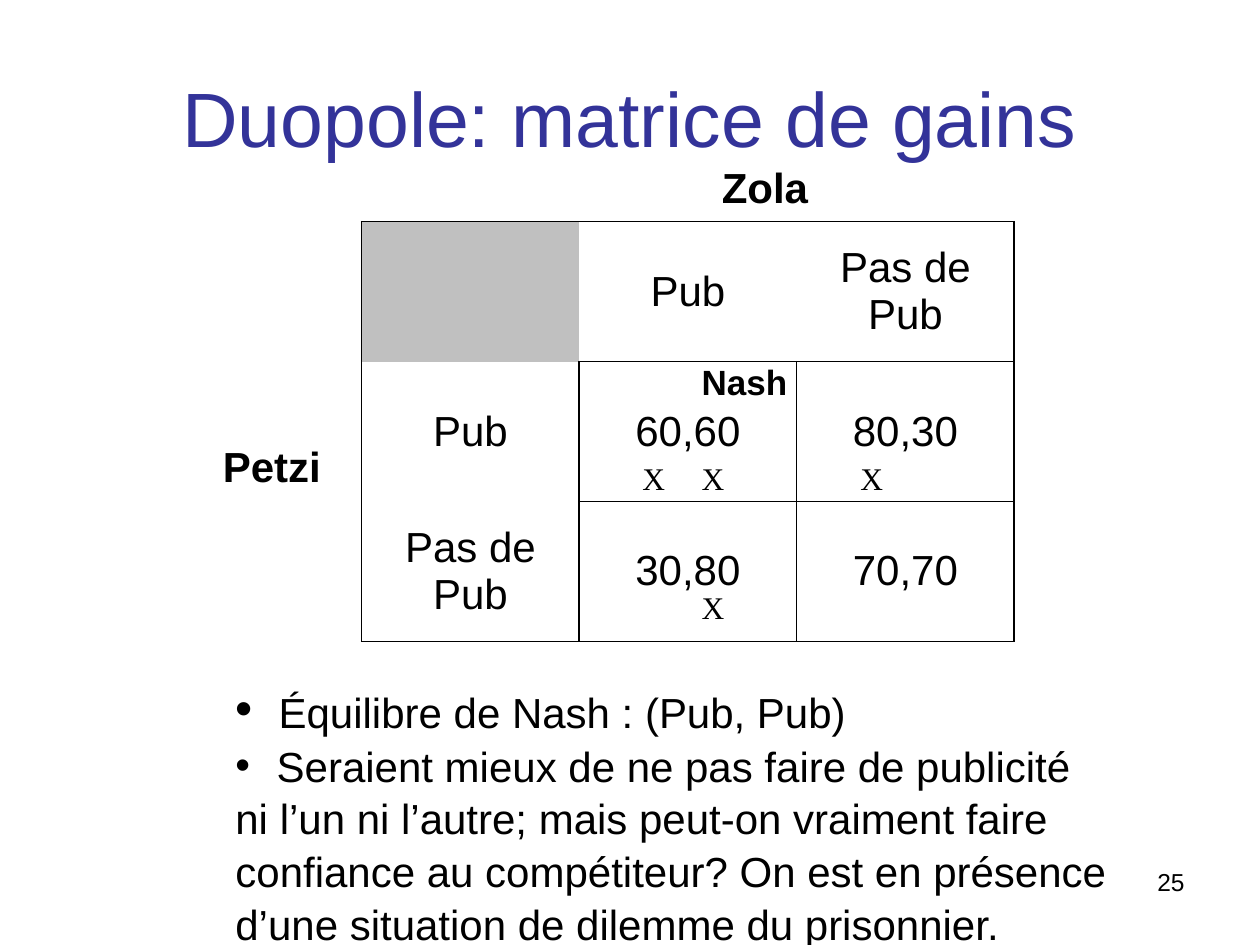
from lxml import etree
from pptx import Presentation, util as u
from pptx.dml.color import RGBColor
from pptx.enum import text
from pptx.oxml import ns

COLUMNS, ROWS = 100, 75  # slide grid
BLACK, GREY, BLUE = "000000", "C0C0C0", "333399"


def color(value):
    return RGBColor.from_string(value)


def write(para, content, size=24, font="Arial", ink=BLACK, bold=False):
    span = para.add_run()
    span.text = content
    span.font.size = u.Pt(size)
    span.font.name = font
    span.font.bold = bold
    span.font.color.rgb = color(ink)


def add_bullet(para, indent):
    properties = para._p.get_or_add_pPr()
    properties.set("marL", str(indent))
    properties.set("indent", str(-indent))
    etree.SubElement(properties, ns.qn("a:buFont")).set("typeface", "Arial")
    etree.SubElement(properties, ns.qn("a:buChar")).set("char", "•")


def set_borders(cell, sides):
    properties = cell._tc.get_or_add_tcPr()
    for index, side in enumerate("LRTB"):
        line = etree.Element(ns.qn(f"a:ln{side}"), w=str(u.Pt(1)))
        if side in sides:
            fill = etree.SubElement(line, ns.qn("a:solidFill"))
            etree.SubElement(fill, ns.qn("a:srgbClr")).set("val", BLACK)
        else:
            etree.SubElement(line, ns.qn("a:noFill"))
        properties.insert(index, line)


class SlideBuilder:
    def __init__(self, deck):
        self.cell_width = deck.slide_width / COLUMNS
        self.cell_height = deck.slide_height / ROWS
        self.slide = deck.slides.add_slide(deck.slide_layouts[6])

    def place(self, left, top, width, height):
        return (int(left * self.cell_width), int(top * self.cell_height),
                int(width * self.cell_width), int(height * self.cell_height))

    def frame(self, area, wrap=False):
        box = self.slide.shapes.add_textbox(*self.place(*area))
        box.text_frame.word_wrap = wrap
        return box.text_frame

    def label(self, area, content, align="LEFT", anchor="TOP", wrap=False, **style):
        frame = self.frame(area, wrap)
        frame.vertical_anchor = getattr(text.MSO_ANCHOR, anchor)
        para = frame.paragraphs[0]
        para.alignment = getattr(text.PP_ALIGN, align)
        write(para, content, **style)

    def notes(self, area, lines):
        """Each line is (bulleted, [(content, size), ...])."""
        frame = self.frame(area, wrap=True)
        for index, (bulleted, spans) in enumerate(lines):
            para = frame.add_paragraph() if index else frame.paragraphs[0]
            if index:
                para.space_before = u.Pt(1.3)
            if bulleted:
                add_bullet(para, int(2.35 * self.cell_width))
            for content, size in spans:
                write(para, content, size)

    def payoff_matrix(self, area, values):
        last = len(values) - 1
        shape = self.slide.shapes.add_table(last + 1, last + 1, *self.place(*area))
        table = shape.table
        table.first_row = table.horz_banding = False
        for r, row in enumerate(values):
            for c, content in enumerate(row):
                cell = table.cell(r, c)
                cell.vertical_anchor = text.MSO_ANCHOR.MIDDLE
                if content:
                    para = cell.text_frame.paragraphs[0]
                    para.alignment = text.PP_ALIGN.CENTER
                    write(para, content)
                    cell.fill.background()
                else:
                    cell.fill.solid()
                    cell.fill.fore_color.rgb = color(GREY)
                # Headers are open between each other, payoffs are boxed
                rules = {"L": c == 0 or r > 0, "R": c == last or r > 0,
                         "T": r == 0 or c > 0, "B": r == last or c > 0}
                set_borders(cell, [side for side, drawn in rules.items() if drawn])


def main():
    deck = Presentation()
    deck.slide_width, deck.slide_height = u.Inches(10), u.Inches(7.5)
    page = SlideBuilder(deck)

    # Page number and title
    page.label((71.7, 68.3, 23.3, 5.2), "25", align="RIGHT", wrap=True, size=14)
    page.label((5, 3, 90, 12.5), "Duopole: matrice de gains", align="CENTER",
               anchor="MIDDLE", wrap=True, size=44, ink=BLUE)

    # Payoff matrix
    page.payoff_matrix((28.7, 17.6, 51.8, 33.3), [
        ["", "Pub", "Pas de Pub"],
        ["Pub", "60,60", "80,30"],
        ["Pas de Pub", "30,80", "70,70"],
    ])

    # Conclusions
    page.notes((17.7, 53.4, 72.1, 21.6), [
        (True, [(" ", 28), ("Équilibre de Nash : (Pub, Pub)", 24)]),
        (True, [(" Seraient mieux de ne pas faire de publicité", 24)]),
        (False, [("ni l’un ni l’autre; mais peut-on vraiment faire", 24)]),
        (False, [("confiance au compétiteur? On est en présence", 24)]),
        (False, [("d’une situation de dilemme du prisonnier.", 24)]),
    ])

    # Players
    page.label((16.7, 34.5, 9.8, 5), "Petzi", bold=True)
    page.label((56.3, 12.3, 8.9, 5), "Zola", bold=True)

    # Best replies and equilibrium
    for left, top in [(50, 35.9), (54.7, 35.9), (54.7, 46.2), (67.3, 35.9)]:
        page.label((left, top, 3.8, 4), "X", size=18, font="Times New Roman")
    page.label((54.7, 28.1, 8.8, 4.3), "Nash", size=20, bold=True)

    deck.save("out.pptx")


if __name__ == "__main__":
    main()
